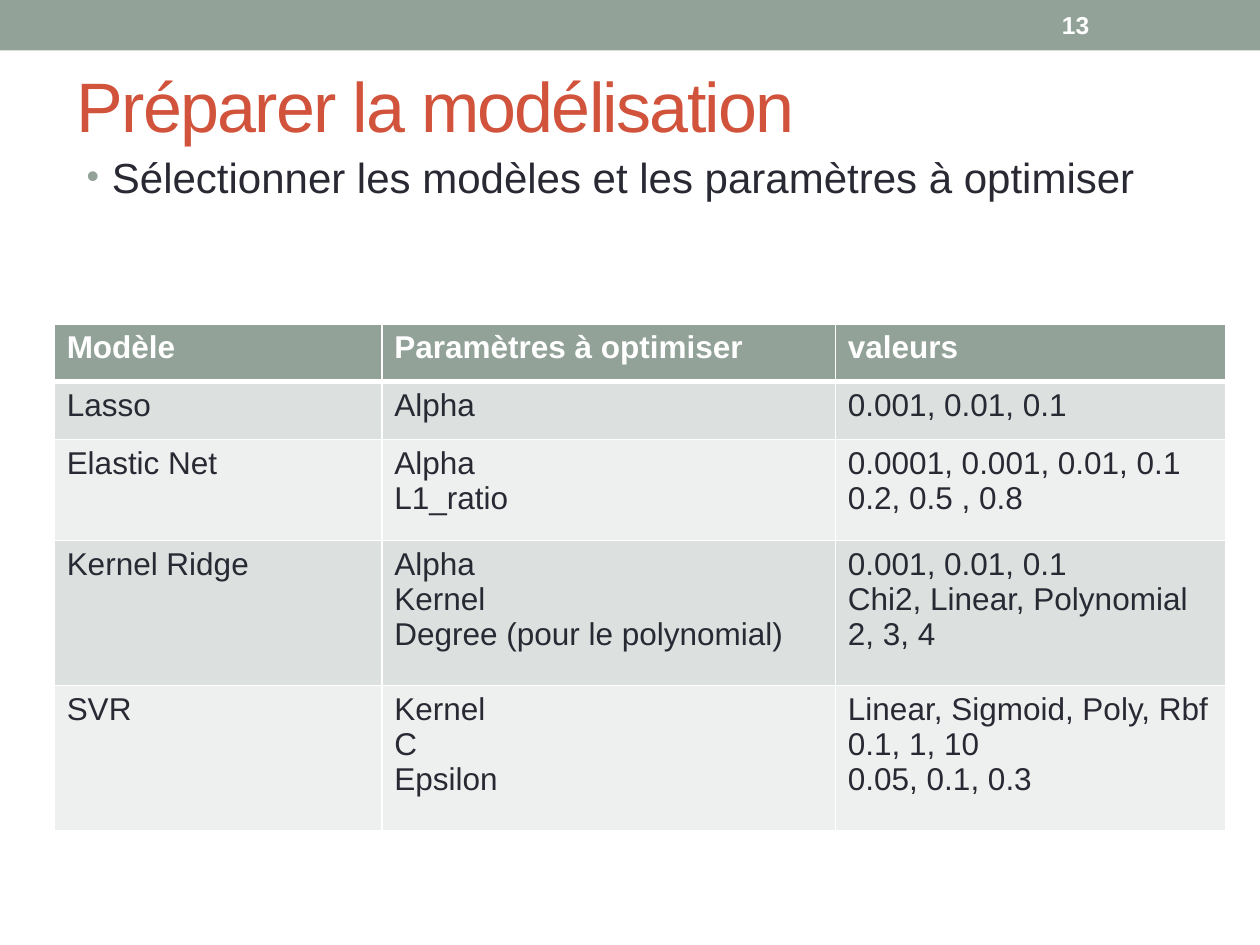
from lxml import etree
from pptx import Presentation
from pptx.dml.color import RGBColor
from pptx.enum.shapes import MSO_SHAPE
from pptx.enum.text import MSO_ANCHOR
from pptx.oxml.ns import qn
from pptx.util import Inches, Pt

RECTANGLE = MSO_SHAPE.RECTANGLE
TOP, MIDDLE = MSO_ANCHOR.TOP, MSO_ANCHOR.MIDDLE
FONT = "Arial"
SAGE, BRICK, INK, WHITE = "93A299", "D2533C", "292934", "FFFFFF"
BANDS = ("DCE0DE", "EEF0EF")
COLUMN_WIDTHS = (2.6, 3.6, 3.1)
ROW_HEIGHTS = (0.46, 0.46, 0.8, 1.15, 1.15)
MODELS = (
    ("Modèle", "Paramètres à optimiser", "valeurs"),
    ("Lasso", "Alpha", "0.001, 0.01, 0.1"),
    ("Elastic Net", "Alpha\nL1_ratio", "0.0001, 0.001, 0.01, 0.1\n0.2, 0.5 , 0.8"),
    ("Kernel Ridge", "Alpha\nKernel\nDegree (pour le polynomial)",
     "0.001, 0.01, 0.1\nChi2, Linear, Polynomial\n2, 3, 4"),
    ("SVR", "Kernel\nC\nEpsilon",
     "Linear, Sigmoid, Poly, Rbf\n0.1, 1, 10\n0.05, 0.1, 0.3"),
)


def rgb(color):
    """Turn a hex string into a colour."""
    return RGBColor.from_string(color)


def write(frame, text, size, color, bold=False):
    """Set the text of a frame and format every run."""
    frame.text = text
    for paragraph in frame.paragraphs:
        for run in paragraph.runs:
            run.font.name = FONT
            run.font.size = Pt(size)
            run.font.bold = bold
            run.font.color.rgb = rgb(color)


def add_text(slide, box, text, size, color, bold=False, anchor=MIDDLE):
    """Add a wrapping text box and return its first paragraph."""
    frame = slide.shapes.add_textbox(*map(Inches, box)).text_frame
    frame.word_wrap = True
    frame.vertical_anchor = anchor
    write(frame, text, size, color, bold)
    return frame.paragraphs[0]


def add_banner(slide, box):
    """Draw the top band with the slide number."""
    left, top, width, height = box
    band = slide.shapes.add_shape(RECTANGLE, *map(Inches, box))
    band.shadow.inherit = False
    band.fill.solid()
    band.fill.fore_color.rgb = rgb(SAGE)
    band.line.fill.background()
    number_box = (left + width - 1.67, top + 0.02, 1.17, height - 0.04)
    add_text(slide, number_box, "13", 14, WHITE, True)


def add_title(slide, box):
    """Write the tightly spaced title."""
    title = add_text(slide, box, "Préparer la modélisation", 40, BRICK)
    title.runs[0].font._element.set("spc", "-100")


def add_objective(slide, box):
    """Write the bulleted objective."""
    objective = add_text(slide, box, "Sélectionner les modèles et les paramètres à optimiser",
                         24, INK, anchor=TOP)
    objective.space_before = Pt(4.8)
    properties = objective._p.get_or_add_pPr()
    properties.set("marL", str(Inches(0.2)))
    properties.set("indent", str(-Inches(0.2)))
    bullet_color = etree.SubElement(properties, qn("a:buClr"))
    etree.SubElement(bullet_color, qn("a:srgbClr"), val=SAGE)
    etree.SubElement(properties, qn("a:buSzPct"), val="85000")
    etree.SubElement(properties, qn("a:buFont"), typeface=FONT)
    etree.SubElement(properties, qn("a:buChar"), char="•")


def add_borders(cell, top, bottom):
    """Give a cell white borders, with top and bottom widths in points."""
    properties = cell._tc.get_or_add_tcPr()
    for side, width in (("L", 1), ("R", 1), ("T", top), ("B", bottom)):
        line = etree.SubElement(properties, qn(f"a:ln{side}"), w=str(Pt(width)))
        fill = etree.SubElement(line, qn("a:solidFill"))
        etree.SubElement(fill, qn("a:srgbClr"), val=WHITE)


def add_models(slide, box):
    """Build the table of models, parameters and values."""
    models = slide.shapes.add_table(len(MODELS), len(COLUMN_WIDTHS), *map(Inches, box)).table
    for column, width in zip(models.columns, COLUMN_WIDTHS):
        column.width = Inches(width)
    for index, (row, height, texts) in enumerate(zip(models.rows, ROW_HEIGHTS, MODELS)):
        row.height = Inches(height)
        header = index == 0
        for cell, text in zip(row.cells, texts):
            write(cell.text_frame, text, 18, WHITE if header else INK, header)
            add_borders(cell, 3 if index == 1 else 1, 3 if header else 1)
            cell.fill.solid()
            cell.fill.fore_color.rgb = rgb(SAGE if header else BANDS[(index - 1) % 2])


def main():
    """Build and save the slide."""
    deck = Presentation()
    deck.slide_width, deck.slide_height = Inches(10), Inches(7.5)
    slide = deck.slides.add_slide(deck.slide_layouts[6])
    add_banner(slide, (0, 0, 10, 0.4))
    add_title(slide, (0.51, 0.29, 9, 1.08))
    add_objective(slide, (0.59, 1.15, 9, 5.33))
    add_models(slide, (0.43, 2.57, sum(COLUMN_WIDTHS), sum(ROW_HEIGHTS)))
    deck.save("out.pptx")


if __name__ == "__main__":
    main()
